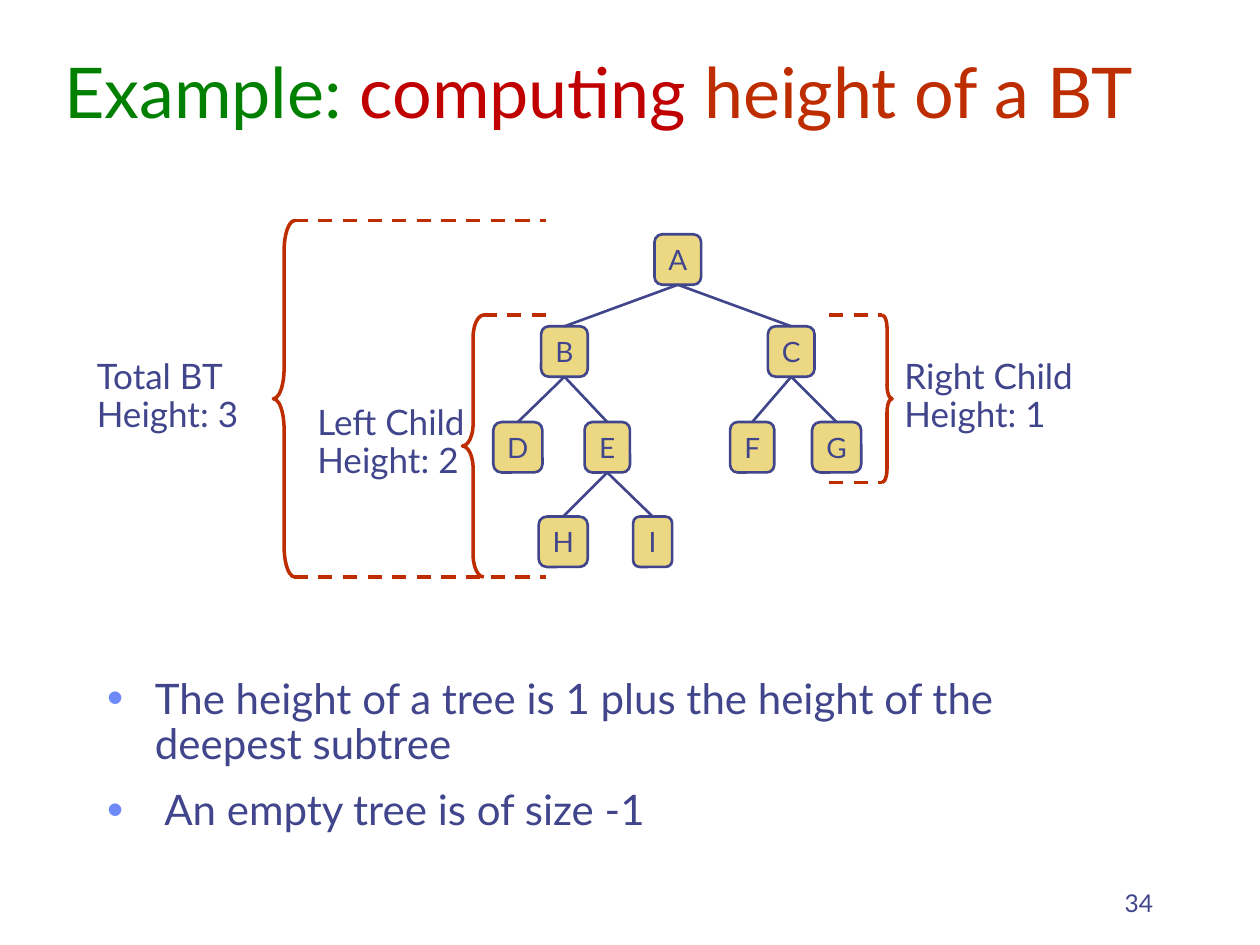
from dataclasses import dataclass
from typing import Any, NamedTuple

from lxml.etree import SubElement as Sub
from pptx import Presentation
from pptx.dml.color import RGBColor as Rgb
from pptx.enum.dml import MSO_LINE as Dash
from pptx.enum.shapes import MSO_CONNECTOR as Link, MSO_SHAPE as Kind
from pptx.enum.text import MSO_ANCHOR as Anchor, MSO_AUTO_SIZE as Fit, PP_ALIGN as Align
from pptx.oxml.ns import qn
from pptx.util import Inches, Pt


@dataclass(frozen=True)
class Theme:
    font: str = "Lato"
    ink: str = "40458C"
    green: str = "008000"
    red: str = "C00000"
    rust: str = "BE2D00"
    gold: str = "ECD882"
    dot: str = "6F89F7"
    head: int = 40
    body: int = 24
    label: int = 20
    node: int = 16
    page: int = 14
    edge: float = 1.5
    brace: float = 2


class Node(NamedTuple):
    name: str
    mid: float
    row: int
    wide: float
    root: str = ""


class Brace(NamedTuple):
    kind: Any
    left: float
    top: float
    wide: float
    high: float
    bend: float


class Dashed(NamedTuple):
    start: float
    end: float
    y: float


class Label(NamedTuple):
    text: str
    left: float
    top: float
    wide: float


LOOK = Theme()
ROWS = (1.86, 2.59, 3.35, 4.1)
HIGH = 0.4
NODES = (
    Node("A", 5.38, 0, 0.37),
    Node("B", 4.48, 1, 0.37, "A"),
    Node("C", 6.28, 1, 0.37, "A"),
    Node("D", 4.11, 2, 0.39, "B"),
    Node("E", 4.82, 2, 0.36, "B"),
    Node("F", 5.97, 2, 0.35, "C"),
    Node("G", 6.64, 2, 0.39, "C"),
    Node("H", 4.47, 3, 0.39, "E"),
    Node("I", 5.18, 3, 0.31, "E"),
)
BRACES = (
    Brace(Kind.RIGHT_BRACE, 7, 2.5, 0.08, 1.33, 1.33),
    Brace(Kind.LEFT_BRACE, 3.67, 2.5, 0.17, 2.08, 1.04),
    Brace(Kind.LEFT_BRACE, 2.17, 1.75, 0.17, 2.83, 1.42),
)
DASHES = (
    Dashed(2.33, 4.33, 1.75),
    Dashed(2.33, 4.33, 4.58),
    Dashed(3.83, 4.33, 2.5),
    Dashed(6.58, 7, 2.5),
    Dashed(6.58, 7, 3.83),
)
LABELS = (
    Label("Right Child Height: 1", 7.08, 2.8, 1.67),
    Label("Left Child Height: 2", 2.42, 3.17, 1.5),
    Label("Total BT Height: 3", 0.67, 2.8, 1.5),
)
TITLE = (
    ("Example: ", LOOK.green),
    ("computing ", LOOK.red),
    ("height of a BT", LOOK.rust),
)
POINTS = (
    "The height of a tree is 1 plus the height of the deepest subtree",
    " An empty tree is of size -1",
)


def apply(item: Any, **form: Any) -> None:
    for key, value in form.items():
        setattr(item, key, value)


def place(shape: Any, *box: float) -> None:
    apply(shape, **dict(zip(("left", "top", "width", "height"), map(Inches, box))))


def write(para: Any, text: str, size: int, color: str = LOOK.ink, **form: Any) -> None:
    run = para.add_run()
    run.text = text
    apply(run.font, name=LOOK.font, size=Pt(size))
    run.font.color.rgb = Rgb.from_string(color)
    apply(para, **form)


def stroke(item: Any, color: str, width: float) -> None:
    item.line.color.rgb = Rgb.from_string(color)
    item.line.width = Pt(width)


def draw_line(slide: Any, color: str, width: float, *ends: float) -> Any:
    line = slide.shapes.add_connector(Link.STRAIGHT, *map(Inches, ends))
    stroke(line, color, width)
    Sub(line._element.spPr, qn("a:effectLst"))
    return line


def draw_node(slide: Any, node: Node) -> Any:
    box = (node.mid - node.wide / 2, ROWS[node.row], node.wide, HIGH)
    shape = slide.shapes.add_shape(Kind.ROUNDED_RECTANGLE, *map(Inches, box))
    shape.shadow.inherit = False
    shape.fill.solid()
    shape.fill.fore_color.rgb = Rgb.from_string(LOOK.gold)
    stroke(shape, LOOK.ink, LOOK.edge)
    frame = shape.text_frame
    apply(frame, word_wrap=False, vertical_anchor=Anchor.MIDDLE)
    write(frame.paragraphs[0], node.name, LOOK.node, alignment=Align.CENTER)
    return shape


def draw_tree(slide: Any) -> None:
    boxes = {node.name: draw_node(slide, node) for node in NODES}
    for node in NODES:
        if node.root:
            edge = draw_line(slide, LOOK.ink, LOOK.edge, 0, 0, 1, 1)
            edge.begin_connect(boxes[node.root], 2)
            edge.end_connect(boxes[node.name], 0)


def draw_brace(slide: Any, brace: Brace) -> None:
    shape = slide.shapes.add_shape(brace.kind, *map(Inches, brace[1:5]))
    shape.shadow.inherit = False
    shape.fill.background()
    stroke(shape, LOOK.rust, LOOK.brace)
    shape.adjustments[0] = brace.bend


def draw_dash(slide: Any, dash: Dashed) -> None:
    line = draw_line(slide, LOOK.rust, LOOK.brace, dash.start, dash.y, dash.end, dash.y)
    line.line.dash_style = Dash.DASH


def add_text(slide: Any, text: str, size: int, box: tuple, anchor: Any, **form: Any) -> None:
    frame = slide.shapes.add_textbox(*map(Inches, box)).text_frame
    apply(frame, word_wrap=True, vertical_anchor=anchor)
    write(frame.paragraphs[0], text, size, **form)


def set_title(slide: Any) -> None:
    shape = slide.shapes.title
    place(shape, 0.41, -0.15, 8.94, 1.25)
    frame = shape.text_frame
    apply(frame, word_wrap=True, auto_size=Fit.NONE, vertical_anchor=Anchor.BOTTOM)
    for text, color in TITLE:
        write(frame.paragraphs[0], text, LOOK.head, color, alignment=Align.LEFT)


def set_bullet(para: Any) -> None:
    props = para._p.get_or_add_pPr()
    props.set("marL", str(Inches(0.38)))
    props.set("indent", str(Inches(-0.38)))
    Sub(Sub(props, qn("a:buClr")), qn("a:srgbClr"), val=LOOK.dot)
    Sub(props, qn("a:buSzPct"), val="110000")
    Sub(props, qn("a:buChar"), char="•")


def set_points(slide: Any) -> None:
    shape = slide.placeholders[1]
    place(shape, 0.75, 5.33, 8.17, 1.38)
    frame = shape.text_frame
    apply(frame, word_wrap=True, auto_size=Fit.NONE, vertical_anchor=Anchor.TOP)
    for spot, text in enumerate(POINTS):
        para = frame.add_paragraph() if spot else frame.paragraphs[0]
        write(para, text, LOOK.body, line_spacing=0.9, space_before=Pt(LOOK.body / 2))
        set_bullet(para)


def main() -> None:
    deck = Presentation()
    apply(deck, slide_width=Inches(10), slide_height=Inches(7.5))
    slide = deck.slides.add_slide(deck.slide_layouts[1])
    set_title(slide)
    set_points(slide)
    draw_tree(slide)
    for brace in BRACES:
        draw_brace(slide, brace)
    for dash in DASHES:
        draw_dash(slide, dash)
    for label in LABELS:
        add_text(slide, label.text, LOOK.label, (*label[1:], 0.7), Anchor.TOP, line_spacing=0.9)
    add_text(slide, "34", LOOK.page, (7.17, 6.83, 2.08, 0.5), Anchor.BOTTOM, alignment=Align.RIGHT)
    deck.save("out.pptx")


if __name__ == "__main__":
    main()
